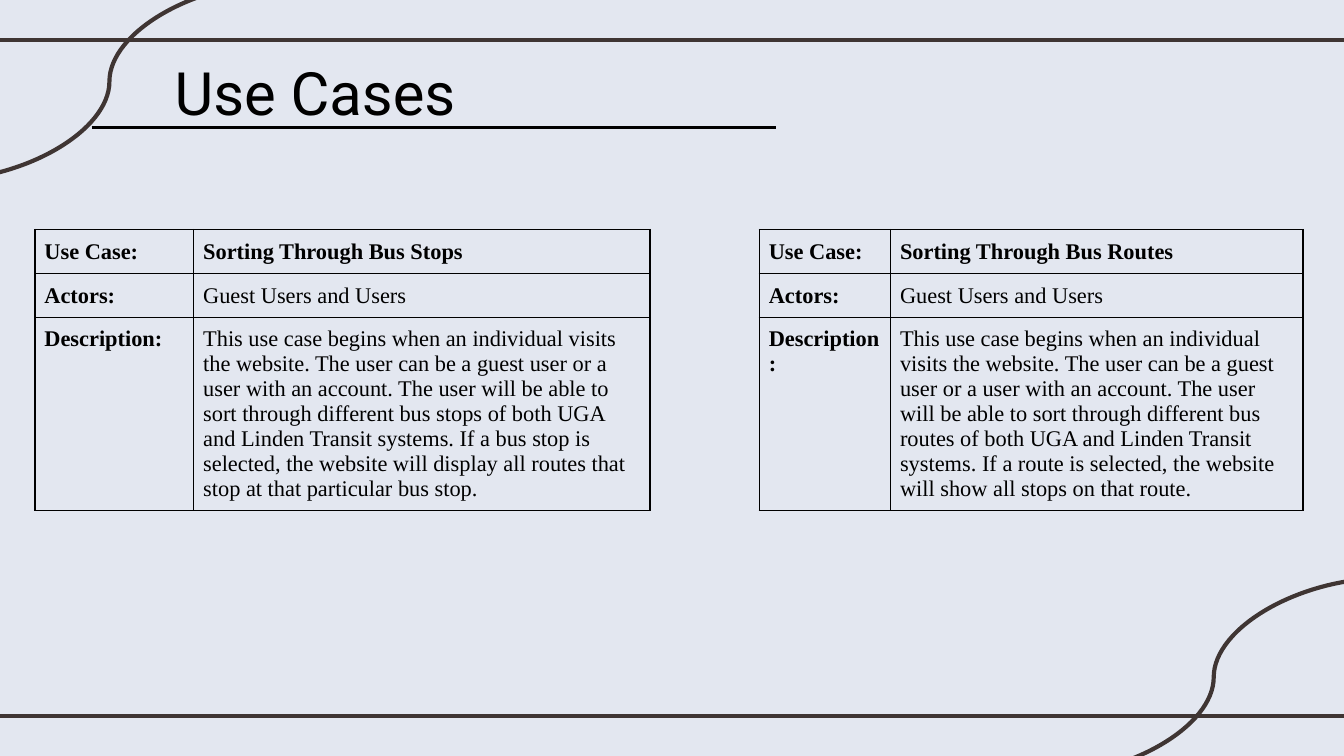
import pptx
import pptx.dml.color
import pptx.enum.shapes
import pptx.enum.text
import pptx.oxml
import pptx.oxml.ns
import pptx.util

Cm = pptx.util.Cm
Pt = pptx.util.Pt
Kind = pptx.enum.shapes.MSO_CONNECTOR

BACKGROUND, BROWN, BLACK = "E3E7F0", "3F3533", "000000"
WIDTH, HEIGHT = 25.4, 14.29
TABLE_TOP, CELL_MARGIN = 4.34, 0.18
ROW_HEIGHTS = [0.83, 0.83, 3.63]

OPENING = (
    "This use case begins when an individual visits the website. "
    "The user can be a guest user or a user with an account. "
)
USE_CASES = [
    {
        "left": 0.66,
        "columns": [3.0, 8.62],
        "rows": [
            ("Use Case:", "Sorting Through Bus Stops"),
            ("Actors:", "Guest Users and Users"),
            ("Description:", OPENING
             + "The user will be able to sort through different bus stops of both "
             "UGA and Linden Transit systems. If a bus stop is selected, the website "
             "will display all routes that stop at that particular bus stop."),
        ],
    },
    {
        "left": 14.35,
        "columns": [2.48, 7.8],
        "rows": [
            ("Use Case:", "Sorting Through Bus Routes"),
            ("Actors:", "Guest Users and Users"),
            ("Description:", OPENING
             + "The user will be able to sort through different bus routes of both "
             "UGA and Linden Transit systems. If a route is selected, the website "
             "will show all stops on that route."),
        ],
    },
]

LINES = [
    (Kind.STRAIGHT, (-0.2, 0.76), (25.6, 0.76), BROWN, 2.25),
    (Kind.STRAIGHT, (-0.2, 13.54), (25.6, 13.54), BROWN, 2.25),
    (Kind.CURVE, (26.18, 10.93), (19.7, 14.67), BROWN, 2.25),
    (Kind.CURVE, (5.31, -0.33), (-1.17, 3.41), BROWN, 2.25),
    (Kind.STRAIGHT, (1.73, 2.41), (14.66, 2.41), BLACK, 1.5),
]


def color(value):
    return pptx.dml.color.RGBColor.from_string(value)


def add_line(page, kind, start, end, line_color, weight):
    line = page.shapes.add_connector(kind, *map(Cm, start + end))
    line.line.color.rgb = color(line_color)
    line.line.width = Pt(weight)
    line._element.spPr.append(pptx.oxml.parse_xml(
        f'<a:effectLst {pptx.oxml.ns.nsdecls("a")}/>'))


def write(frame, text, font, size, bold=False):
    paragraph = frame.paragraphs[0]
    paragraph.alignment = pptx.enum.text.PP_ALIGN.LEFT
    span = paragraph.add_run()
    span.text = text
    span.font.name = font
    span.font.size = Pt(size)
    span.font.bold = bold
    span.font.color.rgb = color(BLACK)


def set_margins(holder, margin):
    for side in ("left", "right", "top", "bottom"):
        setattr(holder, f"margin_{side}", Cm(margin))


def add_borders(cell):
    properties = cell._tc.get_or_add_tcPr()
    for position, side in enumerate(("lnL", "lnR", "lnT", "lnB")):
        properties.insert(position, pptx.oxml.parse_xml(
            f'<a:{side} {pptx.oxml.ns.nsdecls("a")} w="{Pt(1)}">'
            f'<a:solidFill><a:srgbClr val="{BLACK}"/></a:solidFill></a:{side}>'))


def add_use_case(page, left, columns, rows):
    table = page.shapes.add_table(
        len(rows), len(columns), Cm(left), Cm(TABLE_TOP),
        Cm(sum(columns)), Cm(sum(ROW_HEIGHTS))).table
    table.first_row = False
    table.horz_banding = False
    for column, width in zip(table.columns, columns):
        column.width = Cm(width)
    for row, height in zip(table.rows, ROW_HEIGHTS):
        row.height = Cm(height)
    for row_index, texts in enumerate(rows):
        for column_index, text in enumerate(texts):
            cell = table.cell(row_index, column_index)
            set_margins(cell, CELL_MARGIN)
            cell.fill.background()
            add_borders(cell)
            write(cell.text_frame, text, "Times New Roman", 12,
                  bold=row_index == 0 or column_index == 0)


def main():
    deck = pptx.Presentation()
    deck.slide_width, deck.slide_height = Cm(WIDTH), Cm(HEIGHT)
    page = deck.slides.add_slide(deck.slide_layouts[5])
    page.background.fill.solid()
    page.background.fill.fore_color.rgb = color(BACKGROUND)

    title = page.shapes.title
    title.left, title.top, title.width, title.height = map(Cm, (3.05, 0.81, 13.08, 1.6))
    frame = title.text_frame
    frame.word_wrap = True
    frame.auto_size = pptx.enum.text.MSO_AUTO_SIZE.NONE
    frame.vertical_anchor = pptx.enum.text.MSO_ANCHOR.TOP
    set_margins(frame, 0.25)
    write(frame, "Use Cases", "Roboto", 32)

    for line in LINES:
        add_line(page, *line)
    for use_case in USE_CASES:
        add_use_case(page, **use_case)
    deck.save("out.pptx")


if __name__ == "__main__":
    main()
